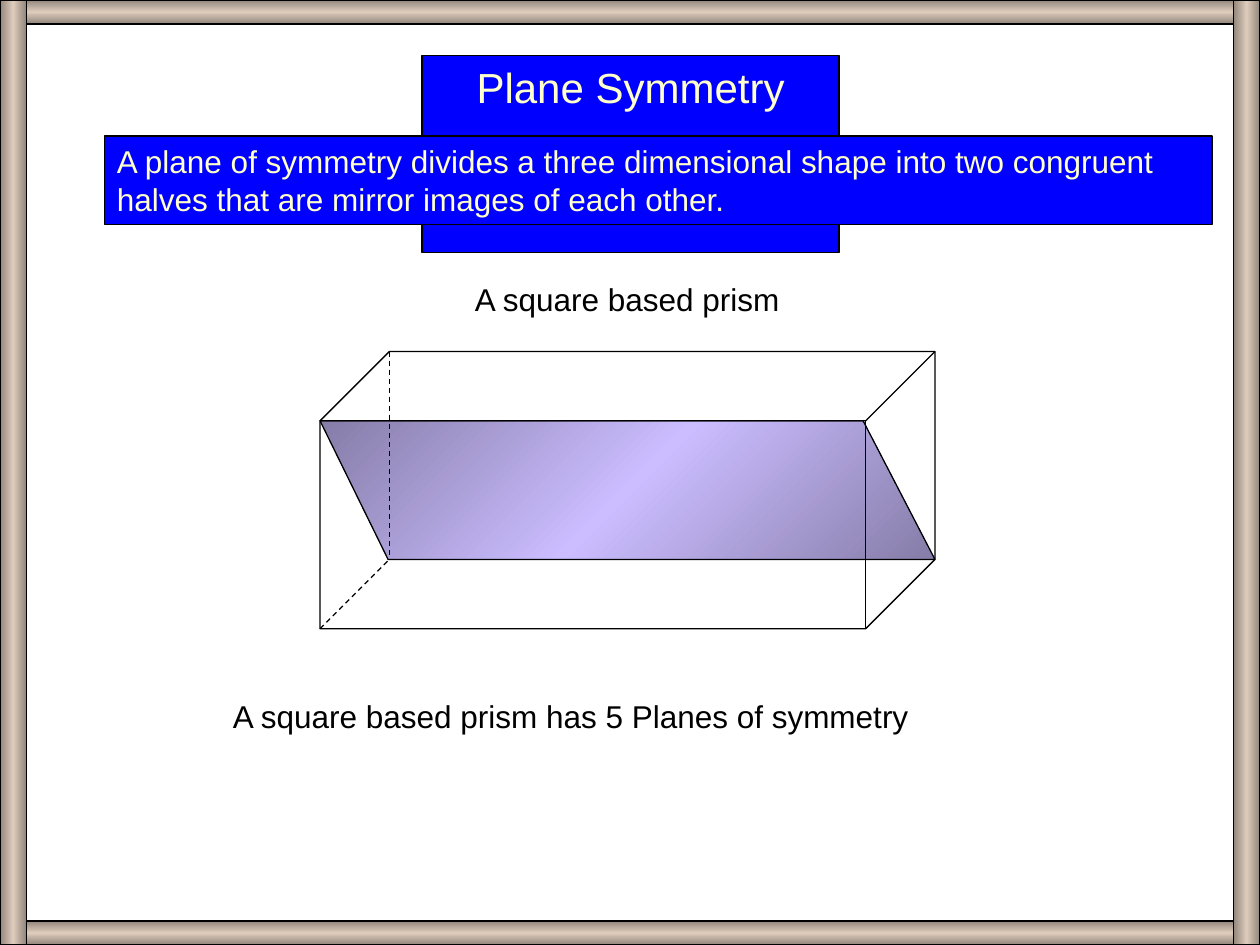
"""Build the plane symmetry slide with a framed border and a sliced prism."""
from dataclasses import dataclass

from lxml.etree import SubElement
from pptx import Presentation
from pptx.dml.color import RGBColor
from pptx.enum.dml import MSO_LINE
from pptx.enum.shapes import MSO_CONNECTOR, MSO_SHAPE
from pptx.enum.text import MSO_ANCHOR, MSO_AUTO_SIZE, PP_ALIGN
from pptx.oxml.ns import qn
from pptx.util import Inches, Pt


@dataclass(frozen=True)
class Theme:
    """Colours, type sizes and line width of the slide."""
    font: str = "Arial"
    title_size: int = 24
    text_size: int = 18
    line_width: float = 0.75
    ink: str = "000000"
    panel: str = "0000FF"
    panel_text: str = "FFFFCC"
    frame: tuple = ("92867C", "DECCBC")
    plane: tuple = ("867CA8", "CBBDFF")


THEME = Theme()
WIDTH, HEIGHT = 10, 7.5
BAR_HEIGHT, BAR_WIDTH = 0.19, 0.21
LEFT, TOP, RIGHT, BOTTOM = 2.54, 2.79, 7.42, 4.99
DEPTH = 0.55


def inches(*values):
    """Convert several numbers to lengths."""
    return [Inches(value) for value in values]


def outline(shape):
    """Give a shape or connector the thin dark line."""
    shape.line.color.rgb = RGBColor.from_string(THEME.ink)
    shape.line.width = Pt(THEME.line_width)


def fill_gradient(shape, colors, angle):
    """Fill a shape with an edge, middle, edge gradient, angle clockwise."""
    edge, middle = colors
    shape.fill.gradient()
    gradient = shape.fill._xPr.find(qn("a:gradFill"))
    for child in list(gradient):
        gradient.remove(child)
    stops = SubElement(gradient, qn("a:gsLst"))
    for position, color in ((0, edge), (50, middle), (100, edge)):
        stop = SubElement(stops, qn("a:gs"), pos=str(position * 1000))
        SubElement(stop, qn("a:srgbClr"), val=color)
    SubElement(gradient, qn("a:lin"), ang=str(angle * 60000), scaled="0")


def set_text(shape, text, size, color, alignment=PP_ALIGN.LEFT):
    """Write one formatted paragraph into a shape."""
    frame = shape.text_frame
    frame.text = text
    frame.word_wrap = True
    frame.auto_size = MSO_AUTO_SIZE.SHAPE_TO_FIT_TEXT
    frame.vertical_anchor = MSO_ANCHOR.TOP
    paragraph = frame.paragraphs[0]
    paragraph.alignment = alignment
    paragraph.font.name = THEME.font
    paragraph.font.size = Pt(size)
    paragraph.font.color.rgb = RGBColor.from_string(color)


def fill_panel(shape):
    """Give a shape the solid panel look."""
    shape.fill.solid()
    shape.fill.fore_color.rgb = RGBColor.from_string(THEME.panel)
    outline(shape)


def add_title(slide, text, box):
    """Place and format the title placeholder."""
    title = slide.shapes.title
    title.left, title.top, title.width, title.height = inches(*box)
    fill_panel(title)
    set_text(title, text, THEME.title_size, THEME.panel_text, PP_ALIGN.CENTER)


def add_rectangle(slide, box):
    """Add a rectangle without shadow."""
    shape = slide.shapes.add_shape(MSO_SHAPE.RECTANGLE, *inches(*box))
    shape.shadow.inherit = False
    return shape


def add_definition(slide, text, box):
    """Add a coloured panel holding a definition."""
    panel = add_rectangle(slide, box)
    fill_panel(panel)
    set_text(panel, text, THEME.text_size, THEME.panel_text)


def add_caption(slide, text, box):
    """Add a plain line of text."""
    caption = slide.shapes.add_textbox(*inches(*box))
    set_text(caption, text, THEME.text_size, THEME.ink)


def add_frame(slide):
    """Add the four bars around the slide."""
    bars = (
        ((0, 0, WIDTH, BAR_HEIGHT), 90),
        ((0, HEIGHT - BAR_HEIGHT, WIDTH, BAR_HEIGHT), 90),
        ((0, 0, BAR_WIDTH, HEIGHT), 0),
        ((WIDTH - BAR_WIDTH, 0, BAR_WIDTH, HEIGHT), 0),
    )
    for box, angle in bars:
        bar = add_rectangle(slide, box)
        fill_gradient(bar, THEME.frame, angle)
        outline(bar)


def add_symmetry_plane(slide):
    """Add the diagonal plane that halves the prism."""
    front_top, back_bottom = TOP + DEPTH, BOTTOM - DEPTH
    corners = [(LEFT, front_top), (RIGHT - DEPTH - 0.02, front_top),
               (RIGHT, back_bottom), (LEFT + DEPTH - 0.01, back_bottom)]
    points = [tuple(inches(*corner)) for corner in corners]
    builder = slide.shapes.build_freeform(*points[0])
    builder.add_line_segments(points[1:], close=True)
    plane = builder.convert_to_shape()
    plane.shadow.inherit = False
    fill_gradient(plane, THEME.plane, 45)
    outline(plane)


def add_prism(slide):
    """Add the prism with its three hidden edges as one group."""
    group = slide.shapes.add_group_shape()
    cube = group.shapes.add_shape(
        MSO_SHAPE.CUBE, *inches(LEFT, TOP, RIGHT - LEFT, BOTTOM - TOP))
    cube.adjustments[0] = DEPTH / (BOTTOM - TOP)
    cube.shadow.inherit = False
    cube.fill.background()
    outline(cube)
    hidden_corner = (LEFT + DEPTH, BOTTOM - DEPTH)
    for start in ((LEFT + DEPTH, TOP), (RIGHT, BOTTOM - DEPTH), (LEFT, BOTTOM)):
        edge = group.shapes.add_connector(
            MSO_CONNECTOR.STRAIGHT, *inches(*start, *hidden_corner))
        outline(edge)
        edge.line.dash_style = MSO_LINE.DASH
        SubElement(edge._element.spPr, qn("a:effectLst"))


def main():
    """Build and save the presentation."""
    presentation = Presentation()
    presentation.slide_width, presentation.slide_height = inches(WIDTH, HEIGHT)
    slide = presentation.slides.add_slide(presentation.slide_layouts[5])
    add_symmetry_plane(slide)
    add_frame(slide)
    add_title(slide, "Plane Symmetry", (3.35, 0.44, 3.31, 0.5))
    add_prism(slide)
    add_definition(
        slide,
        "A plane of symmetry divides a three dimensional shape into two "
        "congruent halves that are mirror images of each other.",
        (0.83, 1.08, 8.79, 0.7))
    add_caption(slide, "A square based prism", (3.67, 2.17, 3.89, 0.4))
    add_caption(slide, "A square based prism has 5 Planes of symmetry",
                (1.75, 5.48, 6.5, 0.4))
    presentation.save("out.pptx")


if __name__ == "__main__":
    main()
